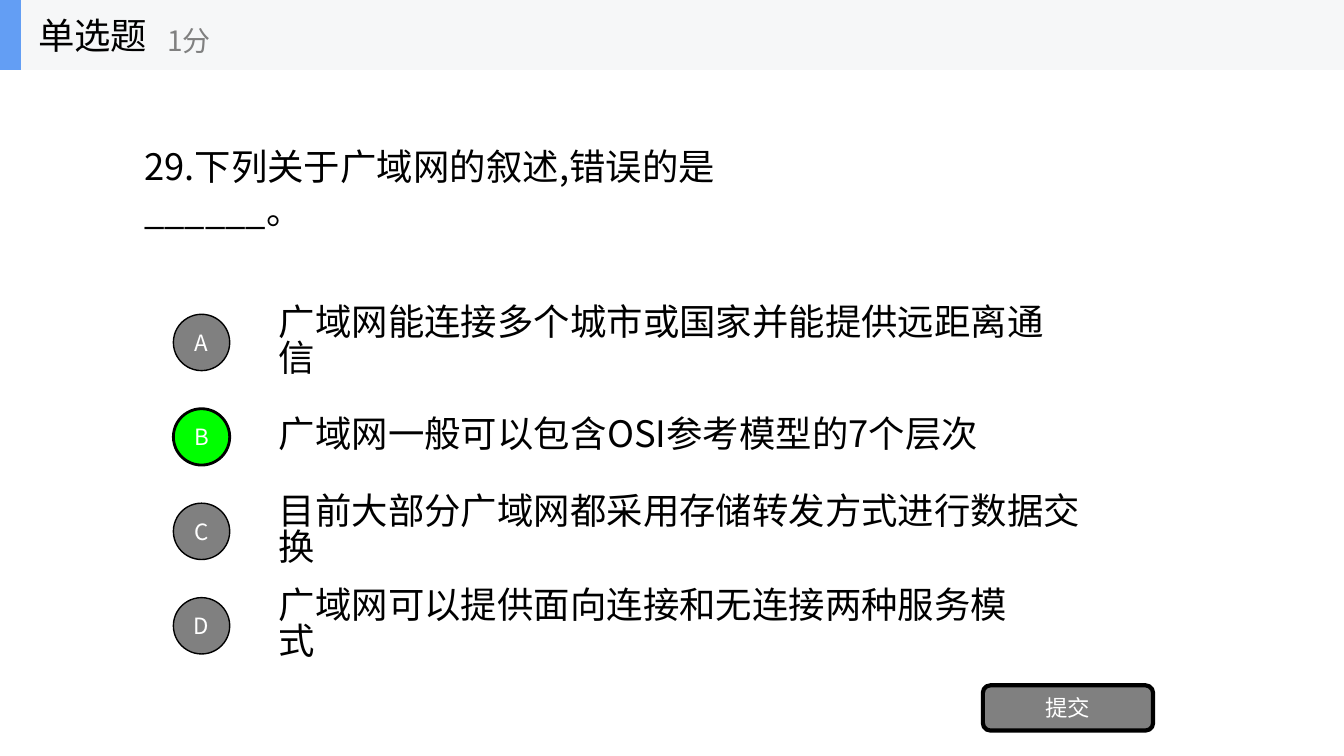
"""Build a single-choice quiz slide with four lettered options and a submit button."""
from pptx import Presentation
from pptx import util as u
from pptx.dml import color
from pptx.enum import shapes, text
from pptx.oxml import ns
from lxml import etree

THEME = {
    "font": "Noto Sans CJK SC",
    "body": 26, "points": 20, "label": 16,
    "black": "000000", "white": "FFFFFF", "grey": "808080",
    "correct": "00FF00", "band": "F6F7F8", "accent": "639EF4",
}
LEFT, CENTER = text.PP_ALIGN.LEFT, text.PP_ALIGN.CENTER
GROW = text.MSO_AUTO_SIZE.SHAPE_TO_FIT_TEXT
FIXED = text.MSO_AUTO_SIZE.NONE


def write(box, words, size, ink, align=LEFT, wrap=True, fit=FIXED, spacing=None):
    """Fill a shape with one formatted paragraph."""
    frame = box.text_frame
    para = frame.paragraphs[0]
    span = para.add_run()
    formats = (
        (frame, {"word_wrap": wrap, "auto_size": fit,
                 "vertical_anchor": text.MSO_ANCHOR.MIDDLE}),
        (para, {"alignment": align, "line_spacing": spacing}),
        (span, {"text": words}),
        (span.font, {"size": u.Pt(THEME[size]), "name": THEME["font"]}),
    )
    for target, values in formats:
        for name, value in values.items():
            setattr(target, name, value)
    span.font.color.rgb = color.RGBColor.from_string(THEME[ink])
    east_asian = etree.SubElement(span.font._element, ns.qn("a:ea"))
    east_asian.set("typeface", THEME["font"])


def draw(parent, kind, place, fill, line=0):
    """Add a filled preset shape, outlined in black when a line width is given."""
    box = parent.add_shape(kind, *map(u.Cm, place))
    box.shadow.inherit = False
    box.fill.solid()
    box.fill.fore_color.rgb = color.RGBColor.from_string(THEME[fill])
    if line:
        box.line.color.rgb = color.RGBColor.from_string(THEME["black"])
        box.line.width = u.Pt(line)
    else:
        box.line.fill.background()
    return box


deck = Presentation()
deck.slide_width, deck.slide_height = u.Cm(33.87), u.Cm(19.05)
page = deck.slides.add_slide(deck.slide_layouts[5])

question = page.shapes.title
place = {"left": 3.38, "top": 4.06, "width": 18.24, "height": 1.35}
for name, value in place.items():
    setattr(question, name, u.Cm(value))
write(question, "29.下列关于广域网的叙述,错误的是______。", "body", "black", fit=GROW)

options = [
    ("A", "广域网能连接多个城市或国家并能提供远距离通信", 20.65, "grey", 1),
    ("B", "广域网一般可以包含OSI参考模型的7个层次", 18.15, "correct", 2),
    ("C", "目前大部分广域网都采用存储转发方式进行数据交换", 21.59, "grey", 1),
    ("D", "广域网可以提供面向连接和无连接两种服务模式", 19.7, "grey", 1),
]
first_top, row_step, circle_size, answer_height = 7.92, 2.38, 1.42, 1.35
for row, (letter, words, width, fill, line) in enumerate(options):
    top = first_top + row * row_step
    answer_top = top + (circle_size - answer_height) / 2
    answer = page.shapes.add_textbox(
        *map(u.Cm, (6.78, answer_top, width, answer_height)))
    write(answer, words, "body", "black", fit=GROW, spacing=0.83)
    circle = draw(page.shapes, shapes.MSO_SHAPE.OVAL,
                  (4.37, top, circle_size, circle_size), fill, line)
    write(circle, letter, "label", "white", CENTER)

submit = draw(page.shapes, shapes.MSO_SHAPE.ROUNDED_RECTANGLE,
              (24.77, 17.27, 4.29, 1.14), "grey", 3)
write(submit, "提交", "label", "white", CENTER)

header = page.shapes.add_group_shape().shapes
for width, fill in ((33.87, "band"), (0.53, "accent")):
    draw(header, shapes.MSO_SHAPE.RECTANGLE, (0, 0, width, 1.76), fill)
for words, place, size, ink in (
    ("单选题", (0.71, 0, 5.28, 1.76), "body", "black"),
    ("1分", (3.97, 0.31, 6.35, 1.42), "points", "grey"),
):
    caption = header.add_textbox(*map(u.Cm, place))
    write(caption, words, size, ink, wrap=False)

deck.save("out.pptx")
